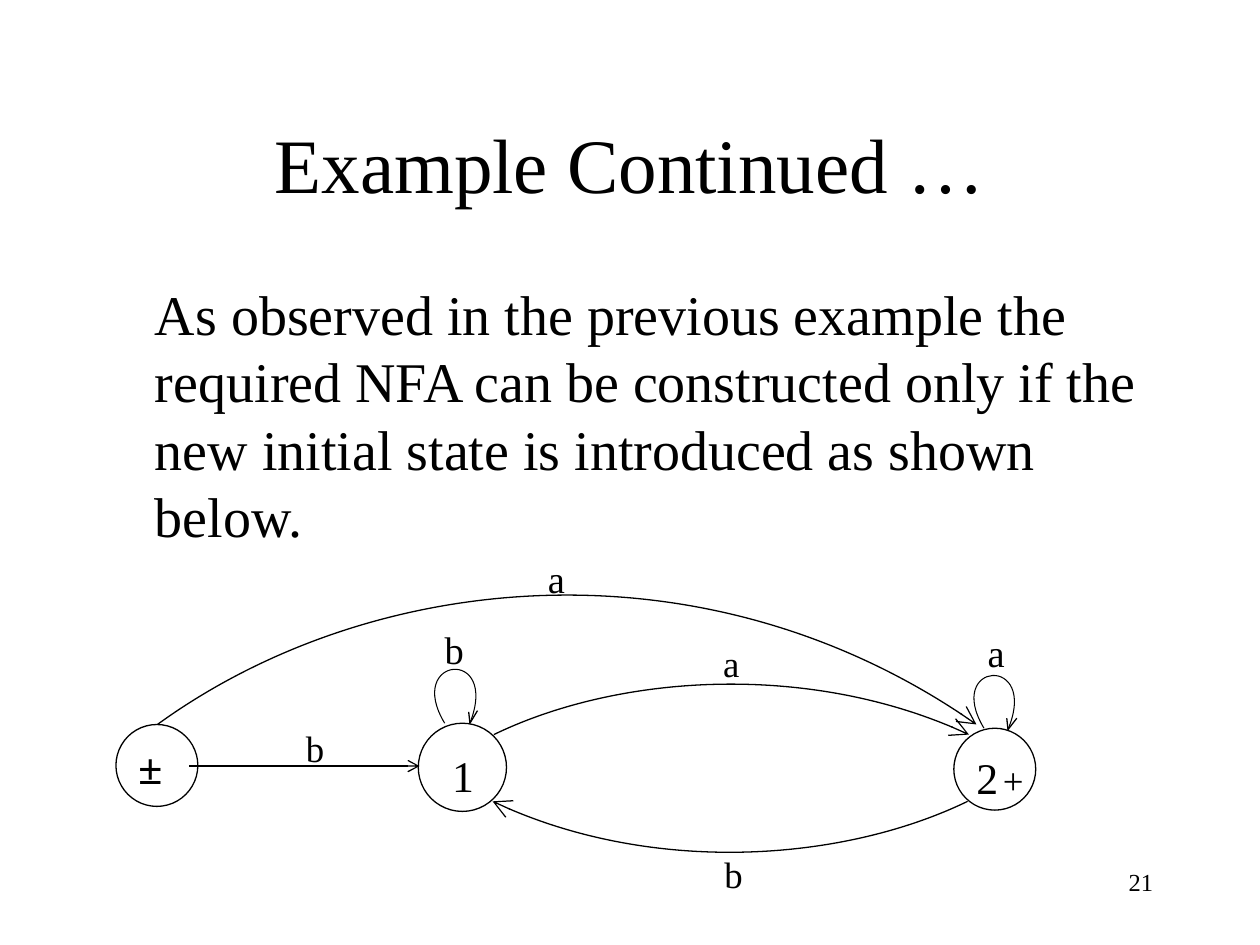
"""Build the slide that shows the NFA with its new initial state."""
import lxml.etree
import pptx
import pptx.dml.color
import pptx.enum.shapes
import pptx.enum.text
import pptx.oxml.ns
import pptx.util

Inches = pptx.util.Inches
Pt = pptx.util.Pt
qn = pptx.oxml.ns.qn
sub = lxml.etree.SubElement
align = pptx.enum.text.PP_ALIGN


def paint(part, color="000000"):
    part.solid()
    part.fore_color.rgb = pptx.dml.color.RGBColor.from_string(color)


def style(para, sizes, bold=False):
    for run, size in zip(para.runs, sizes):
        run.font.name = "Times New Roman"
        run.font.size = Pt(size)
        run.font.bold = bold
        paint(run.font.fill)


deck = pptx.Presentation()
deck.slide_width, deck.slide_height = Inches(10), Inches(7.5)
slide = deck.slides.add_slide(deck.slide_layouts[1])
shapes = slide.shapes

title, body = slide.placeholders
words = [
    (title, "Example Continued …", 44, 0.67, 1.25),
    (body, "As observed in the previous example the required NFA can be "
     "constructed only if the new initial state is introduced as shown below.",
     32, 2.17, 4.5),
]
for box, text, size, top, height in words:
    box.left, box.top = Inches(0.75), Inches(top)
    box.width, box.height = Inches(8.5), Inches(height)
    frame = box.text_frame
    frame.text = text
    frame.auto_size = pptx.enum.text.MSO_AUTO_SIZE.NONE
    style(frame.paragraphs[0], [size])
title.text_frame.vertical_anchor = pptx.enum.text.MSO_ANCHOR.MIDDLE
title.text_frame.paragraphs[0].alignment = align.CENTER
para = body.text_frame.paragraphs[0]
para.space_before = Pt(0)
props = para._p.get_or_add_pPr()
props.set("marL", str(Inches(0.38)))
props.set("indent", "0")
sub(props, qn("a:buNone"))

for left, top, size in [(0.92, 5.75, 0.65), (3.32, 5.74, 0.7), (7.57, 5.78, 0.65)]:
    state = shapes.add_shape(
        pptx.enum.shapes.MSO_SHAPE.OVAL,
        Inches(left), Inches(top), Inches(size), Inches(size))
    state.shadow.inherit = False
    paint(state.fill, "FFFFFF")
    paint(state.line.fill)
    state.line.width = Pt(0.75)

curves = [
    ([(1.25, 5.75), (2.92, 4.54), (5.61, 4.25), (7.75, 5.75)], True),
    ([(3.92, 5.83), (4.89, 5.36), (6.45, 5.25), (7.69, 5.83)], True),
    ([(7.68, 6.36), (6.71, 6.83), (5.15, 6.95), (3.91, 6.36)], True),
    ([(3.53, 5.74), (3.21, 5.21), (3.97, 5.13), (3.73, 5.74)], False),
    ([(7.81, 5.78), (7.49, 5.25), (8.25, 5.19), (8, 5.79)], False),
    ([(3.72, 5.65), (3.73, 5.74), (3.79, 5.64)], False),
    ([(7.99, 5.7), (8, 5.79), (8.07, 5.7)], False),
]
for points, arrow in curves:
    dots = [(Inches(x), Inches(y)) for x, y in points]
    pen = shapes.build_freeform(*dots[0])
    pen.add_line_segments(dots[1:], close=False)
    edge = pen.convert_to_shape()
    edge.shadow.inherit = False
    edge.fill.background()
    paint(edge.line.fill)
    edge.line.width = Pt(0.75 if arrow or len(points) == 3 else 0.6)
    if len(points) == 4:
        trail = edge._element.find(".//" + qn("a:path"))
        bend = sub(trail, qn("a:cubicBezTo"))
        for step in trail.findall(qn("a:lnTo")):
            bend.append(step[0])
            trail.remove(step)
    if arrow:
        sub(edge.line._get_or_add_ln(), qn("a:tailEnd"), type="arrow", w="lg", len="lg")

link = shapes.add_connector(
    pptx.enum.shapes.MSO_CONNECTOR.STRAIGHT,
    Inches(1.5), Inches(6.08), Inches(3.33), Inches(6.08))
paint(link.line.fill)
link.line.width = Pt(0.75)
sub(link.line._get_or_add_ln(), qn("a:tailEnd"), type="arrow")
sub(link._element.spPr, qn("a:effectLst"))

labels = [
    (["a"], [22], 4.25, 4.36, 0.84, 0.56),
    (["b"], [22], 3.43, 4.92, 0.84, 0.56),
    (["a"], [22], 7.74, 4.94, 0.84, 0.56),
    (["a"], [21], 5.64, 5.04, 0.33, 0.33),
    (["b"], [21], 2.33, 5.71, 0.39, 0.46),
    (["b"], [21], 5.65, 6.71, 0.85, 0.46),
    (["±"], [25], 1, 5.83, 0.92, 0.52),
    (["1"], [25], 3.49, 5.89, 0.6, 0.52),
    (["2", " ", "+"], [25, 11, 21], 7.65, 5.91, 0.8, 0.52),
    (["21"], [14], 7.17, 6.83, 2.08, 0.5),
]
for parts, sizes, *place in labels:
    box = shapes.add_textbox(*map(Inches, place))
    box.text_frame.word_wrap = True
    para = box.text_frame.paragraphs[0]
    for part in parts:
        para.add_run().text = part
    style(para, sizes, parts == ["±"])
    para.alignment = align.RIGHT if parts == ["21"] else align.LEFT

deck.save("out.pptx")
